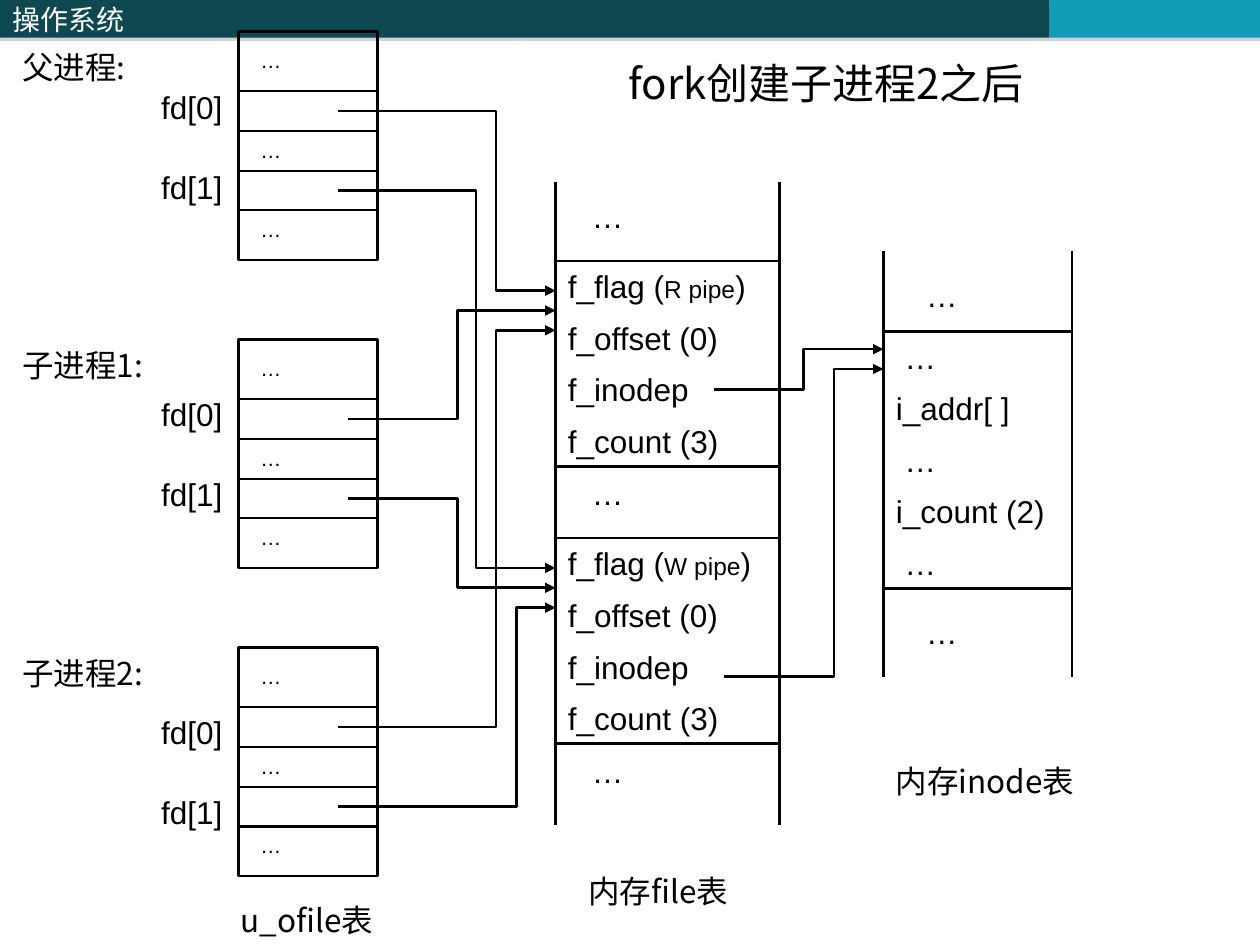
from lxml import etree
from pptx import Presentation
from pptx import util as u
from pptx.dml.color import RGBColor
from pptx.enum import shapes, text
from pptx.oxml import ns

COLORS = {"ink": "000000", "white": "FFFFFF", "teal": "0E4851",
          "blue": "139CB7", "shadow": "808080"}
LATIN, CHINESE = "Arial", "Noto Sans CJK SC"

# All positions below are in centimetres.
OFILE_LEFT, OFILE_WIDTH, OFILE_HEIGHT = 4.81, 2.8, 4.6
FILE_LEFT, FILE_WIDTH, FILE_HEIGHT = 11.2, 4.51, 4.14
FILE_TOPS = (5.26, 10.85)
INODE_LEFT, INODE_WIDTH = 17.81, 3.8
SLOT_OFFSETS = (1.6, 3.2)  # middle of the fd[0] and fd[1] rows

# label, its offset and width, table top, offset of fd[0], arrow start, arrow bends
PROCESSES = [
    ("父进程:", 0.2, 2.8, 0.64, 1.0, 6.81, (10.0, 9.6)),
    ("子进程1:", 0, 3.4, 6.85, 0.98, 7.01, (9.22, 9.22)),
    ("子进程2:", 0, 3.4, 13.06, 1.19, 6.81, (10.0, 10.41)),
]
# arrow start, height at the start, bend, height at the inode table
INODE_ARROWS = [(14.4, 7.85, 16.2, 7.04), (14.6, 13.64, 16.81, 7.44)]


def color(name):
    return RGBColor.from_string(COLORS[name])


def add_child(parent, tag, **attributes):
    return etree.SubElement(parent, ns.qn(tag), attributes)


def set_line(shape, width):
    shape.line.color.rgb = color("ink")
    shape.line.width = u.Pt(width)


def write(shape, lines, size, font=LATIN, space=0.0, ink="ink"):
    """Fill a shape with lines; a line is a string or a list of (text, size)."""
    frame = shape.text_frame
    frame.word_wrap = True
    for index, line in enumerate(lines):
        paragraph = frame.paragraphs[0] if index == 0 else frame.add_paragraph()
        paragraph.alignment = text.PP_ALIGN.LEFT
        paragraph.space_before = u.Pt(space)
        parts = [(line, size)] if isinstance(line, str) else line
        for words, part_size in parts:
            run = paragraph.add_run()
            run.text = words
            run.font.size = u.Pt(part_size)
            run.font.name = font
            run.font.color.rgb = color(ink)
            add_child(run.font._element, "a:ea", typeface=font)


def add_label(slide, words, left, top, width, height=1.02, size=18,
              font=LATIN, space=11.2):
    box = slide.shapes.add_textbox(u.Cm(left), u.Cm(top), u.Cm(width), u.Cm(height))
    write(box, [words], size, font, space)
    box.text_frame.auto_size = text.MSO_AUTO_SIZE.SHAPE_TO_FIT_TEXT


def add_rectangle(slide, left, top, width, height):
    shape = slide.shapes.add_shape(shapes.MSO_SHAPE.RECTANGLE, u.Cm(left),
                                   u.Cm(top), u.Cm(width), u.Cm(height))
    shape.shadow.inherit = False
    return shape


def add_box(slide, left, top, width, height, lines=()):
    box = add_rectangle(slide, left, top, width, height)
    box.fill.background()
    set_line(box, 1.5)
    box.text_frame.vertical_anchor = text.MSO_ANCHOR.TOP
    write(box, lines, 18, space=7.9)


def add_rule(slide, x1, y1, x2, y2, width=1.5):
    rule = slide.shapes.add_connector(shapes.MSO_CONNECTOR.STRAIGHT, u.Cm(x1),
                                      u.Cm(y1), u.Cm(x2), u.Cm(y2))
    set_line(rule, width)
    add_child(rule._element.spPr, "a:effectLst")


def add_step_arrow(slide, x1, y1, bend, x2, y2):
    """Draw an arrow that runs across, along the bend, and across again."""
    builder = slide.shapes.build_freeform(u.Cm(x1), u.Cm(y1))
    corners = [(bend, y1), (bend, y2), (x2, y2)]
    builder.add_line_segments([(u.Cm(x), u.Cm(y)) for x, y in corners], close=False)
    arrow = builder.convert_to_shape()
    arrow.shadow.inherit = False
    arrow.fill.background()
    set_line(arrow, 1.5)
    add_child(arrow.line._get_or_add_ln(), "a:tailEnd", type="triangle")


def add_header(slide):
    bands = [(0, 10.36, "teal", ["操作系统"]), (10.36, 10.8, "teal", []),
             (21.16, 4.24, "blue", [])]
    for left, width, fill, lines in bands:
        band = add_rectangle(slide, left, 0, width, 0.76)
        band.fill.solid()
        band.fill.fore_color.rgb = color(fill)
        band.line.fill.background()
        band.text_frame.vertical_anchor = text.MSO_ANCHOR.MIDDLE
        write(band, lines, 16, CHINESE, ink="white")
        effects = band._element.spPr.find(ns.qn("a:effectLst"))
        shadow = add_child(effects, "a:outerShdw", dist=str(u.Pt(1.8)),
                           dir="5400000", rotWithShape="0")
        shade = add_child(shadow, "a:srgbClr", val=COLORS["shadow"])
        add_child(shade, "a:alpha", val="35000")


def add_process(slide, index):
    label, label_offset, label_width, top, fd_offset, start, bends = PROCESSES[index]
    add_label(slide, label, 0.2, top + label_offset, label_width, font=CHINESE)
    add_box(slide, OFILE_LEFT, top, OFILE_WIDTH, OFILE_HEIGHT)
    for row in range(4):
        y = top + 1.2 + 0.8 * row
        add_rule(slide, OFILE_LEFT, y, OFILE_LEFT + OFILE_WIDTH, y, 1.25)
    for offset in (0.2, 2.0, 3.6):
        add_label(slide, "…", 5, top + offset, 2.2, 0.76, size=12, space=7.5)
    for slot, bend in enumerate(bends):
        add_label(slide, f"fd[{slot}]", 3, top + fd_offset + 1.62 * slot, 2)
        add_step_arrow(slide, start, top + SLOT_OFFSETS[slot], bend,
                       FILE_LEFT, FILE_TOPS[slot] + 0.6 + 0.4 * index)


def add_file_table(slide):
    for x in (FILE_LEFT, FILE_LEFT + FILE_WIDTH):
        add_rule(slide, x, 3.66, x, 16.64)
    for top, pipe in zip(FILE_TOPS, ("R pipe", "W pipe")):
        flag = [("f_flag (", 18), (pipe, 14), (")", 18)]
        add_box(slide, FILE_LEFT, top, FILE_WIDTH, FILE_HEIGHT,
                [flag, "f_offset (0)", "f_inodep", "f_count (3)"])
    for gap in range(3):
        add_label(slide, "…", 11.68, 3.84 + 5.6 * gap, 2.62)


def add_inode_table(slide):
    for x in (INODE_LEFT, INODE_LEFT + INODE_WIDTH):
        add_rule(slide, x, 5.05, x, 13.64)
    add_box(slide, INODE_LEFT, 6.68, INODE_WIDTH, 5.18,
            [" …", "i_addr[ ]", " …", "i_count (2)", " …"])
    for top in (5.44, 12.24):
        add_label(slide, "…", 18.42, top, 2.39)
    for x, y, bend, end in INODE_ARROWS:
        add_step_arrow(slide, x, y, bend, INODE_LEFT, end)


def main():
    presentation = Presentation()
    presentation.slide_width, presentation.slide_height = u.Cm(25.4), u.Cm(19.05)
    slide = presentation.slides.add_slide(presentation.slide_layouts[6])
    add_header(slide)
    add_label(slide, "fork创建子进程2之后", 12.42, 1.04, 9.6, 1.27,
              size=24, font=CHINESE, space=15)
    add_inode_table(slide)
    add_file_table(slide)
    for index in range(len(PROCESSES)):
        add_process(slide, index)
    captions = [("u_ofile表", 4.6, 18.03, 3.6), ("内存file表", 11.61, 17.45, 4.11),
                ("内存inode表", 17.81, 15.24, 4.19)]
    for words, left, top, width in captions:
        add_label(slide, words, left, top, width, 1.78, font=CHINESE)
    presentation.save("out.pptx")


if __name__ == "__main__":
    main()
